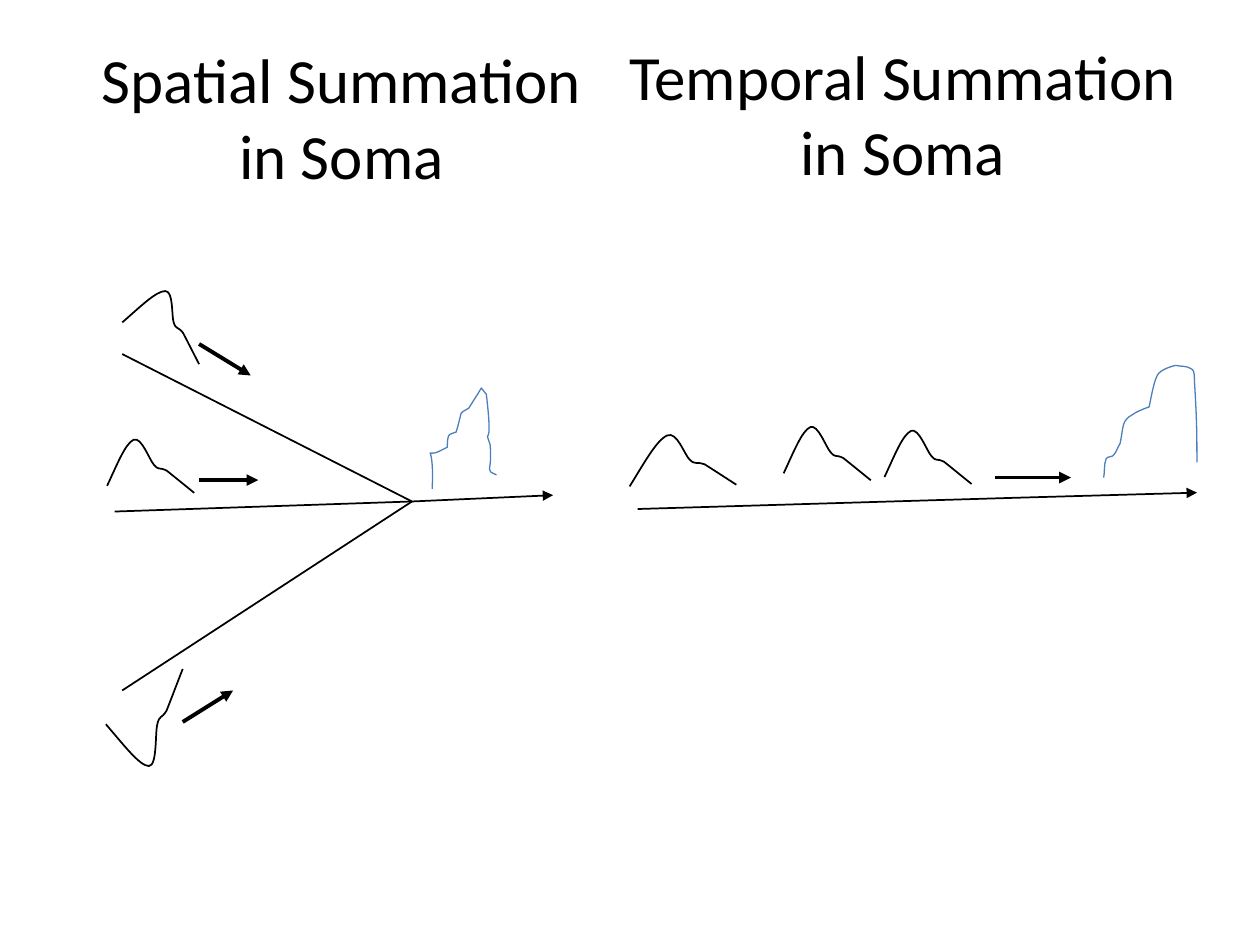
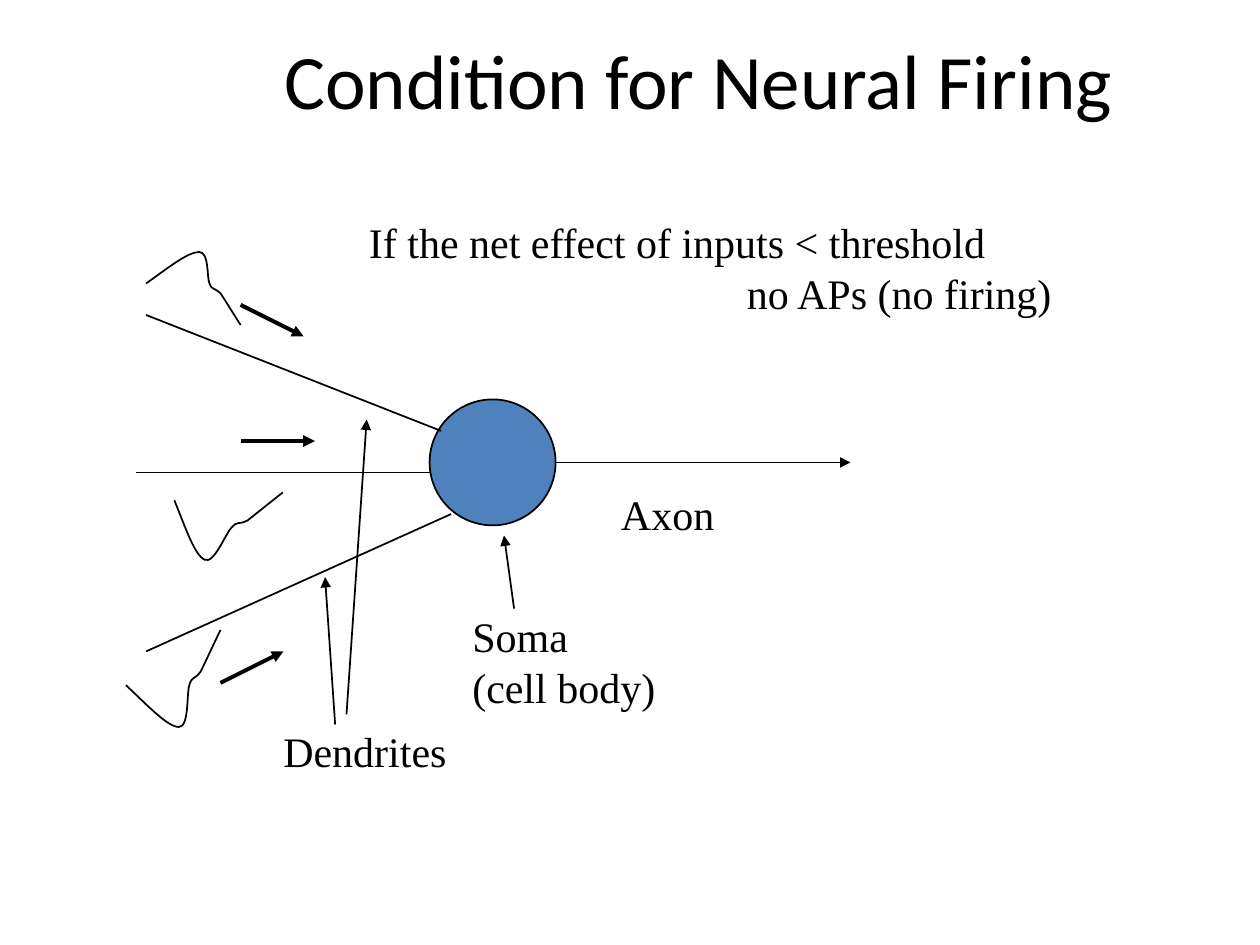
import lxml.etree as etree
import pptx
import pptx.dml.color
import pptx.enum.shapes
import pptx.enum.text
import pptx.oxml.ns
import pptx.util

PX = 9144  # EMU per px, 100 px to the inch
BLACK, SOMA_BLUE, SUM_BLUE = "000000", "4F81BD", "4B7EBC"
TITLE_FONT, LABEL_FONT = "Calibri", "Times New Roman"
THIN, BOLD = 1, 2.25
TILT = -23.9

# A postsynaptic potential in a 100 x 100 box: start, then Bezier triples
PULSE = [(0, 43), (23, 22), (44, 0), (56, 0), (67, 0), (64, 34), (67, 43),
         (70, 53), (72, 48), (79, 57), (84, 67), (97, 94), (100, 100)]

# Summed potentials, in slide px
SPATIAL_SUM = [
    (343, 388), (345, 346), (335, 365), (349, 358), (351, 357), (353, 356), (355, 355),
    (355, 352), (355, 349), (356, 346), (357, 344), (360, 344), (362, 343),
    (363, 340), (364, 336), (365, 332), (366, 331), (365, 328), (367, 327),
    (367, 327), (372, 324), (372, 324), (372, 324), (379, 313), (379, 313),
    (379, 313), (382, 308), (382, 308), (383, 310), (385, 311), (386, 313),
    (392, 364), (383, 335), (389, 353), (391, 377), (384, 372), (394, 377)]
TEMPORAL_SUM = [
    (876, 379), (877, 374), (876, 369), (878, 364), (879, 362), (883, 363), (884, 361),
    (886, 359), (887, 355), (889, 352), (892, 338), (890, 334), (899, 329),
    (903, 326), (912, 323), (912, 323), (913, 320), (916, 299), (920, 296),
    (924, 292), (933, 290), (933, 290), (937, 291), (942, 290), (946, 293),
    (948, 294), (948, 299), (948, 302), (950, 335), (950, 343), (950, 367)]


def qn(tag):
    return pptx.oxml.ns.qn(tag)


def px(*lengths):
    return [round(length * PX) for length in lengths]


def rgb(hex_color):
    return pptx.dml.color.RGBColor.from_string(hex_color)


def set_line(shape, color, weight):
    shape.line.color.rgb = rgb(color)
    shape.line.width = pptx.util.Pt(weight)


def add_text(slide, box, lines, font, size, title=False):
    frame = slide.shapes.add_textbox(*px(*box)).text_frame
    frame.word_wrap = title
    if title:
        frame.vertical_anchor = pptx.enum.text.MSO_ANCHOR.MIDDLE
    frame.text = "\n".join(lines)
    for paragraph in frame.paragraphs:
        if title:
            paragraph.alignment = pptx.enum.text.PP_ALIGN.CENTER
        for run in paragraph.runs:
            run.font.name = font
            run.font.size = pptx.util.Pt(size)
            run.font.color.rgb = rgb(BLACK)
    return frame


def add_title(slide, box, words, size):
    add_text(slide, box, [words], TITLE_FONT, size, title=True)


def add_label(slide, box, *lines):
    return add_text(slide, box, lines, LABEL_FONT, 24)


def add_line(slide, start, end, weight=THIN, arrow=False):
    line = slide.shapes.add_connector(
        pptx.enum.shapes.MSO_CONNECTOR.STRAIGHT, *px(*start, *end))
    set_line(line, BLACK, weight)
    if arrow:
        etree.SubElement(line.line._get_or_add_ln(), qn("a:tailEnd"), type="triangle")
    etree.SubElement(line._element.spPr, qn("a:effectLst"))


def add_arrow(slide, start, end, weight=THIN):
    add_line(slide, start, end, weight, arrow=True)


def add_curve(slide, points, color=BLACK, weight=THIN):
    """Draw an open curve from a start point followed by Bezier triples."""
    start, *controls = [px(*point) for point in points]
    builder = slide.shapes.build_freeform(*start)
    builder.add_line_segments(controls, close=False)
    curve = builder.convert_to_shape()
    outline = curve._element.xpath(".//a:path")[0]
    segments = list(outline)[1:]
    for first in range(0, len(segments), 3):
        bezier = etree.SubElement(outline, qn("a:cubicBezTo"))
        for segment in segments[first:first + 3]:
            bezier.append(segment[0])
            outline.remove(segment)
    curve.shadow.inherit = False
    curve.fill.background()
    set_line(curve, color, weight)
    return curve


def add_pulse(slide, left, top, width, height, inhibitory=False, rotation=0):
    points = [(left + width * x / 100,
               top + height * (100 - y if inhibitory else y) / 100) for x, y in PULSE]
    add_curve(slide, points).rotation = rotation


def add_soma(slide, left, top, size):
    soma = slide.shapes.add_shape(
        pptx.enum.shapes.MSO_SHAPE.OVAL, *px(left, top, size, size))
    soma.shadow.inherit = False
    soma.fill.solid()
    soma.fill.fore_color.rgb = rgb(SOMA_BLUE)
    set_line(soma, BLACK, THIN)


def build_summation(slide):
    # Spatial summation: three dendrites meet at one point
    add_title(slide, (50, 30, 442, 125), "Spatial Summation in Soma", 36)
    junction = (327, 398)
    for dendrite_start in [(97, 281), (91, 406), (97, 548)]:
        add_line(slide, dendrite_start, junction)
    add_arrow(slide, junction, (439, 393))
    add_pulse(slide, 97, 231, 61, 58)
    add_pulse(slide, 84, 348, 61, 58, rotation=TILT)
    add_pulse(slide, 84, 531, 61, 77, inhibitory=True)
    for start, end in [((158, 273), (199, 298)), ((158, 381), (205, 381)),
                       ((145, 573), (185, 548))]:
        add_arrow(slide, start, end, BOLD)
    add_curve(slide, SPATIAL_SUM, SUM_BLUE, 0.75)

    # Temporal summation: successive pulses on one dendrite
    add_title(slide, (483, 27, 467, 125), "Temporal Summation in Soma", 36)
    add_line(slide, (506, 404), (808, 395))
    add_arrow(slide, (808, 395), (950, 391))
    for left, top, width in [(498, 345, 78), (621, 338, 61), (701, 341, 61)]:
        add_pulse(slide, left, top, width, 58, rotation=TILT)
    add_arrow(slide, (790, 379), (850, 379), BOLD)
    add_curve(slide, TEMPORAL_SUM, SUM_BLUE, 0.75)


def build_firing_condition(slide):
    add_title(slide, (142, 0, 825, 125), "Condition for Neural Firing", 44)

    # Neuron
    add_soma(slide, 341, 317, 100)
    for start, end in [((116, 250), (350, 342)), ((108, 375), (341, 375)),
                       ((116, 517), (358, 408))]:
        add_line(slide, start, end)
    add_arrow(slide, (441, 367), (675, 367))

    # Inputs
    add_pulse(slide, 116, 200, 75, 58)
    add_pulse(slide, 137, 371, 75, 75, inhibitory=True, rotation=25.5)
    add_pulse(slide, 100, 500, 75, 77, inhibitory=True)
    for start, end in [((191, 242), (241, 267)), ((191, 350), (250, 350)),
                       ((175, 542), (225, 517))]:
        add_arrow(slide, start, end, BOLD)

    # Labels and their pointers
    for start, end in [((266, 575), (258, 458)), ((275, 567), (291, 333)),
                       ((408, 483), (400, 425))]:
        add_arrow(slide, start, end)
    add_label(slide, (215, 571, 150, 50), "Dendrites")
    add_label(slide, (365, 480, 165, 90), "Soma", "(cell body)")
    add_label(slide, (483, 383, 94, 50), "Axon")
    rule = add_label(slide, (283, 167, 584, 91),
                     "If the net effect of inputs < threshold", "no APs (no firing)")
    outcome = rule.paragraphs[1]._p.get_or_add_pPr()
    outcome.set("marL", str(300 * PX))
    outcome.set("indent", "0")


def main():
    deck = pptx.Presentation()
    deck.slide_width, deck.slide_height = px(1000, 750)
    for build in (build_summation, build_firing_condition):
        build(deck.slides.add_slide(deck.slide_layouts[6]))
    deck.save("out.pptx")


if __name__ == "__main__":
    main()
